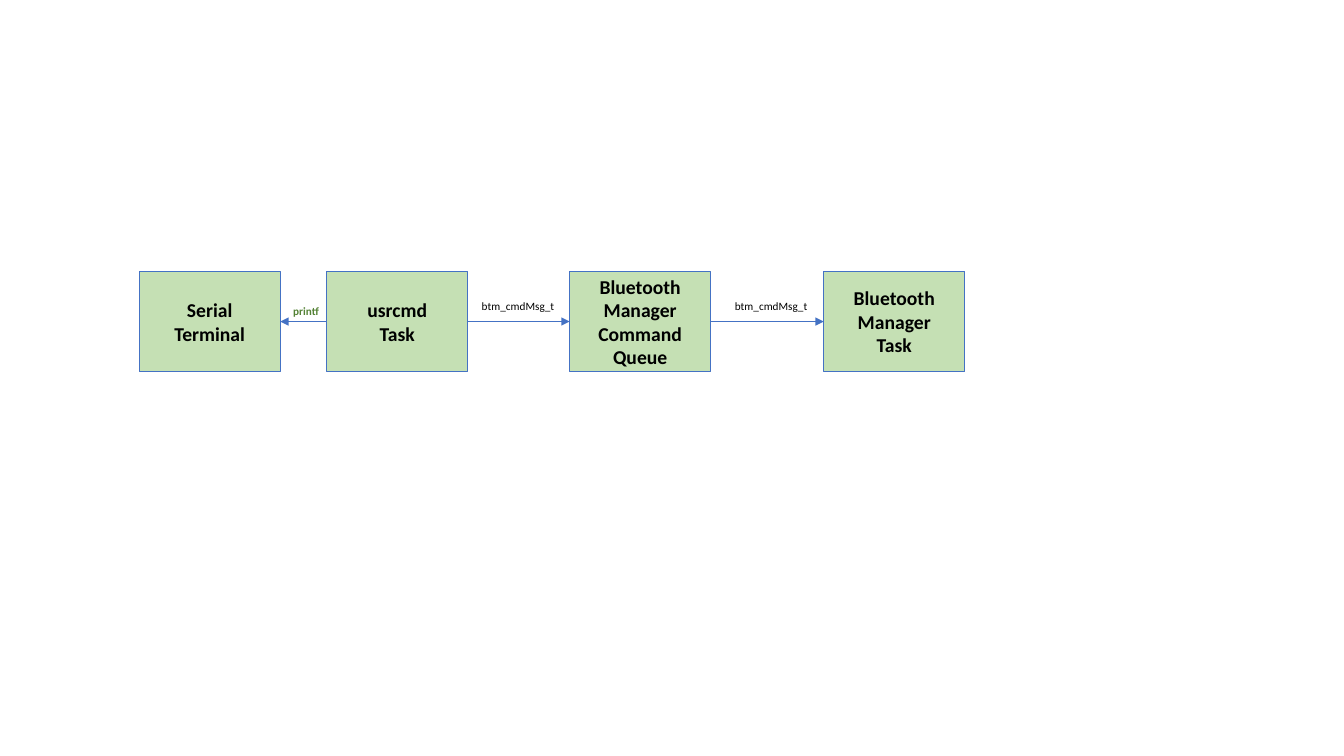
from lxml import etree
from pptx import Presentation
from pptx.dml.color import RGBColor
from pptx.enum.shapes import MSO_CONNECTOR, MSO_SHAPE
from pptx.enum.text import MSO_ANCHOR, MSO_AUTO_SIZE, PP_ALIGN
from pptx.oxml.ns import qn
from pptx.util import Inches, Pt

RECTANGLE = MSO_SHAPE.RECTANGLE
STRAIGHT = MSO_CONNECTOR.STRAIGHT
MIDDLE = MSO_ANCHOR.MIDDLE
CENTER, LEFT = PP_ALIGN.CENTER, PP_ALIGN.LEFT
FIT_SHAPE = MSO_AUTO_SIZE.SHAPE_TO_FIT_TEXT
LEFT_SITE, RIGHT_SITE = 1, 3

COLORS = {"node": "C5E0B4", "line": "4472C4", "text": "000000", "print": "548235"}
FONT = "Calibri"

CELL = Inches(0.1)  # one column or row of the grid
NODE_COLS, NODE_ROWS = 14, 10
LABEL_ROWS = 2.4
FLOW_BOX = (13.8, 26.9)  # left column and top row of the flow

# Node: left column within the flow, lines of its name
NODES = {
    "terminal": (0, ["Serial", "Terminal"]),
    "usrcmd": (18.6, ["usrcmd", "Task"]),
    "queue": (42.7, ["Bluetooth", "Manager", "Command", "Queue"]),
    "manager": (67.9, ["Bluetooth", "Manager", "Task"]),
}
# Link: sender, receiver, label, (column, row, columns) of the label, colour, bold
LINKS = [
    ("usrcmd", "terminal", "printf", (14.3, 2.8, 4.6), "print", True),
    ("usrcmd", "queue", "btm_cmdMsg_t", (33, 2.3, 9.3), "text", False),
    ("queue", "manager", "btm_cmdMsg_t", (58.1, 2.3, 9.3), "text", False),
]


def color(key):
    return RGBColor.from_string(COLORS[key])


def grid(*cells):
    return [round(cell * CELL) for cell in cells]


def write_lines(frame, lines, size, color_key, bold, align):
    frame.word_wrap = False
    for index, line in enumerate(lines):
        paragraph = frame.add_paragraph() if index else frame.paragraphs[0]
        paragraph.alignment = align
        run = paragraph.add_run()
        run.text = line
        run.font.name = FONT
        run.font.size = Pt(size)
        run.font.bold = bold
        run.font.color.rgb = color(color_key)


def add_node(slide, col, row, lines):
    node = slide.shapes.add_shape(RECTANGLE, *grid(col, row, NODE_COLS, NODE_ROWS))
    node.shadow.inherit = False
    node.fill.solid()
    node.fill.fore_color.rgb = color("node")
    node.line.color.rgb = color("line")
    node.line.width = Pt(0.75)
    node.text_frame.vertical_anchor = MIDDLE
    write_lines(node.text_frame, lines, 14, "text", True, CENTER)
    return node


def add_arrow(slide, sender, receiver):
    """Join the facing sides of two nodes, with the head at the receiver."""
    forward = sender.left < receiver.left
    arrow = slide.shapes.add_connector(STRAIGHT, 0, 0, 0, 0)
    arrow.begin_connect(sender, RIGHT_SITE if forward else LEFT_SITE)
    arrow.end_connect(receiver, LEFT_SITE if forward else RIGHT_SITE)
    arrow.line.color.rgb = color("line")
    arrow.line.width = Pt(0.5)
    etree.SubElement(arrow.line._get_or_add_ln(), qn("a:tailEnd"), type="triangle")
    etree.SubElement(arrow._element.spPr, qn("a:effectLst"))


def add_label(slide, col, row, cols, label, color_key, bold):
    frame = slide.shapes.add_textbox(*grid(col, row, cols, LABEL_ROWS)).text_frame
    frame.auto_size = FIT_SHAPE
    write_lines(frame, [label], 8, color_key, bold, LEFT)


def add_message_flow(slide, left, top):
    nodes = {
        key: add_node(slide, left + col, top, lines)
        for key, (col, lines) in NODES.items()
    }
    for sender, receiver, label, (col, row, cols), color_key, bold in LINKS:
        add_arrow(slide, nodes[sender], nodes[receiver])
        add_label(slide, left + col, top + row, cols, label, color_key, bold)


def main():
    deck = Presentation()
    deck.slide_width, deck.slide_height = Inches(13.33), Inches(7.5)
    slide = deck.slides.add_slide(deck.slide_layouts[6])
    add_message_flow(slide, *FLOW_BOX)
    deck.save("out.pptx")


if __name__ == "__main__":
    main()
